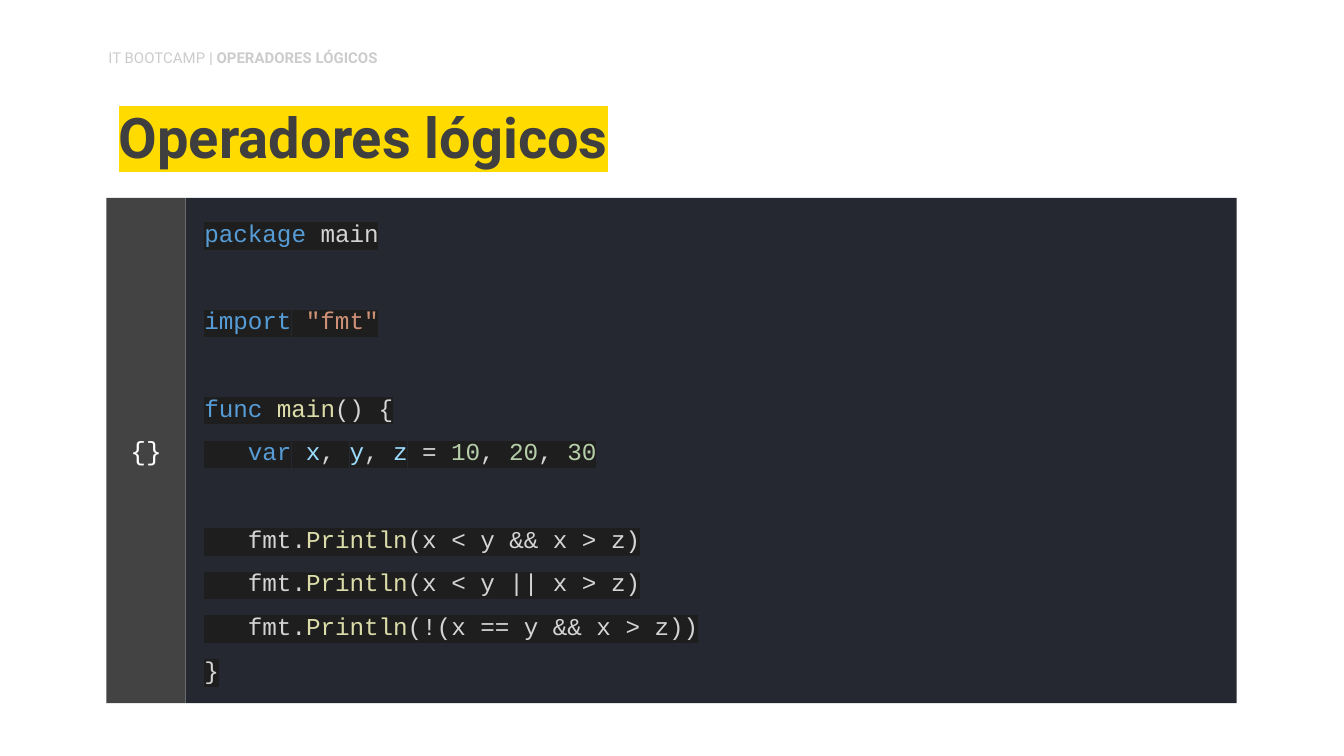
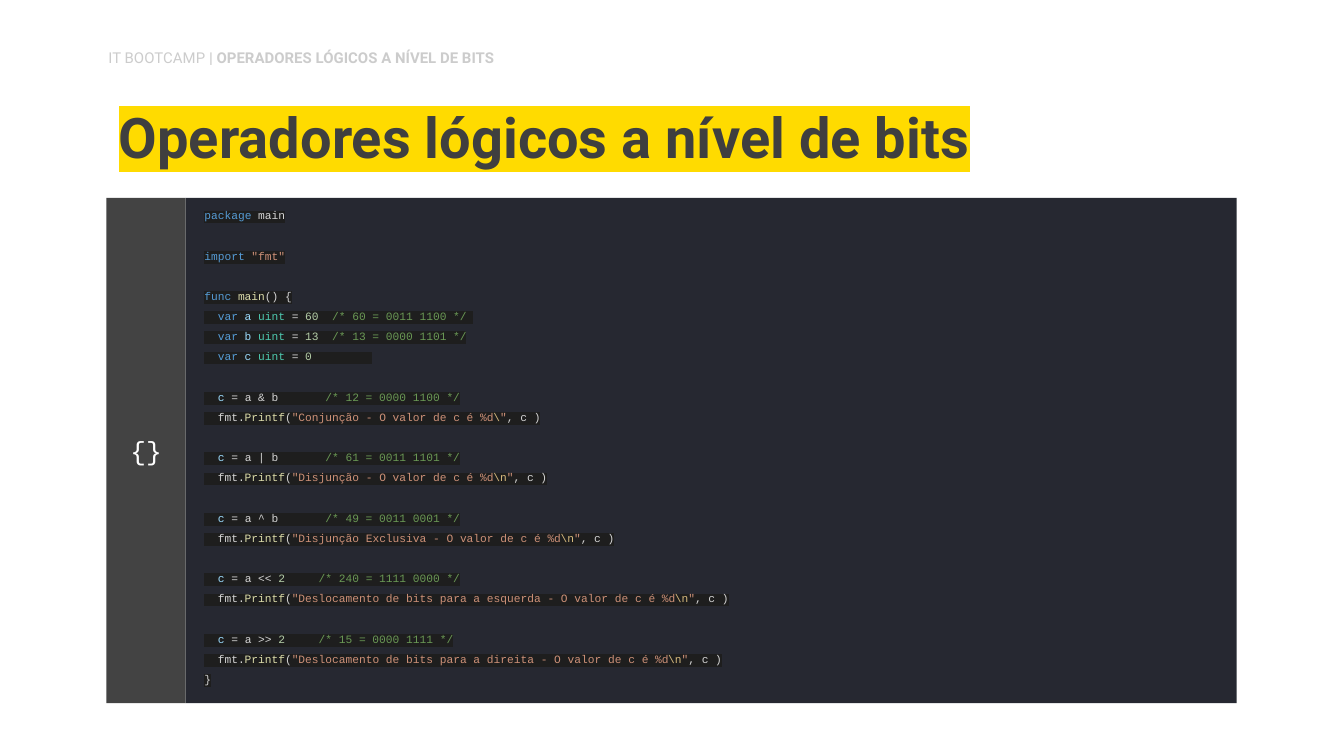
from lxml.etree import SubElement
from pptx import Presentation
from pptx.dml.color import RGBColor
from pptx.enum.shapes import MSO_SHAPE as SHAPE
from pptx.enum.text import MSO_ANCHOR as ANCHOR, MSO_AUTO_SIZE as AUTO, PP_ALIGN as ALIGN
from pptx.oxml.ns import qn
from pptx.util import Pt

PANEL = RGBColor(0x26, 0x28, 0x31)
BAR = RGBColor(0x43, 0x43, 0x43)
WHITE = RGBColor(0xFF, 0xFF, 0xFF)
HEADER = RGBColor(0xCC, 0xCC, 0xCC)
TITLE = RGBColor(0x3F, 0x3F, 0x3F)
TITLE_MARK = RGBColor(0xFF, 0xDB, 0x00)
CODE_MARK = RGBColor(0x1E, 0x1E, 0x1E)

# Syntax colours
KEYWORD = RGBColor(0x56, 0x9C, 0xD6)
PLAIN = RGBColor(0xD4, 0xD4, 0xD4)
STRING = RGBColor(0xCE, 0x91, 0x78)
FUNC = RGBColor(0xDC, 0xDC, 0xAA)
VAR = RGBColor(0x9C, 0xDC, 0xFE)
NUMBER = RGBColor(0xB5, 0xCE, 0xA8)
TYPE = RGBColor(0x4E, 0xC9, 0xB0)
COMMENT = RGBColor(0x6A, 0x99, 0x55)
ESCAPE = RGBColor(0xD7, 0xBA, 0x7D)

CODE_FONT, TEXT_FONT = "Courier New", "Roboto"


def add_run(p, text, color, mark=None, **fmt):
    """Append a run; mark is the highlight colour behind it."""
    r = p.add_run()
    r.text = text
    for name, value in fmt.items():
        setattr(r.font, name, value)
    r.font.color.rgb = color
    if mark is not None:
        rPr = r.font._element
        highlight = SubElement(rPr, qn("a:highlight"))
        SubElement(highlight, qn("a:srgbClr"), val=str(mark))
        rPr.find(qn("a:solidFill")).addnext(highlight)


def set_frame(tf, anchor, left, top, right, bottom):
    fmt = {"word_wrap": True, "auto_size": AUTO.NONE, "vertical_anchor": anchor,
           "margin_left": Pt(left), "margin_top": Pt(top),
           "margin_right": Pt(right), "margin_bottom": Pt(bottom)}
    for name, value in fmt.items():
        setattr(tf, name, value)


# Each code line is a list of (text, colour) tokens
opening = [
    [("package", KEYWORD), (" main", PLAIN)],
    [],
    [("import", KEYWORD), (" ", PLAIN), ('"fmt"', STRING)],
    [],
    [("func", KEYWORD), (" ", PLAIN), ("main", FUNC), ("() {", PLAIN)],
]
closing = [[("}", PLAIN)]]

logic_code = opening + [
    [("   ", PLAIN), ("var", KEYWORD), (" ", PLAIN), ("x", VAR), (", ", PLAIN),
     ("y", VAR), (", ", PLAIN), ("z", VAR), (" = ", PLAIN), ("10", NUMBER),
     (", ", PLAIN), ("20", NUMBER), (", ", PLAIN), ("30", NUMBER)],
    [],
]
for test in ("x < y && x > z", "x < y || x > z", "!(x == y && x > z)"):
    logic_code.append([("   fmt.", PLAIN), ("Println", FUNC), (f"({test})", PLAIN)])
logic_code += closing

bits_code = list(opening)
for name, value, gap, comment, tail in (
        ("a", "60", "  ", "/* 60 = 0011 1100 */", " "),
        ("b", "13", "  ", "/* 13 = 0000 1101 */", ""),
        ("c", "0", "         ", "", "")):
    bits_code.append([
        ("  ", PLAIN), ("var", KEYWORD), (" ", PLAIN), (name, VAR), (" ", PLAIN),
        ("uint", TYPE), (" = ", PLAIN), (value, NUMBER), (gap, PLAIN),
        (comment, COMMENT), (tail, PLAIN)])
for operation, number, gap, result, label, escape in (
        ("a & b", "", 7, "12 = 0000 1100", "Conjunção", "\\"),
        ("a | b", "", 7, "61 = 0011 1101", "Disjunção", "\\n"),
        ("a ^ b", "", 7, "49 = 0011 0001", "Disjunção Exclusiva", "\\n"),
        ("a << ", "2", 5, "240 = 1111 0000", "Deslocamento de bits para a esquerda", "\\n"),
        ("a >> ", "2", 5, "15 = 0000 1111", "Deslocamento de bits para a direita", "\\n")):
    bits_code += [
        [],
        [("  ", PLAIN), ("c", VAR), (f" = {operation}", PLAIN), (number, NUMBER),
         (" " * gap, PLAIN), (f"/* {result} */", COMMENT)],
        [("  fmt.", PLAIN), ("Printf", FUNC), ("(", PLAIN),
         (f'"{label} - O valor de c é %d', STRING), (escape, ESCAPE),
         ('"', STRING), (", c )", PLAIN)],
    ]
bits_code += closing

prs = Presentation()
prs.slide_width, prs.slide_height = Pt(720), Pt(405)

for title, code, size in (("Operadores lógicos", logic_code, 13),
                          ("Operadores lógicos a nível de bits", bits_code, 6)):
    s = prs.slides.add_slide(prs.slide_layouts[5])

    # Code panel with its side bar
    group = s.shapes.add_group_shape()
    frames = []
    for left, width, fill in ((99.5, 563, PANEL), (57, 42.5, BAR)):
        sp = group.shapes.add_shape(SHAPE.RECTANGLE, Pt(left), Pt(106), Pt(width), Pt(270.75))
        sp.shadow.inherit = False
        sp.fill.solid()
        sp.fill.fore_color.rgb = fill
        sp.line.fill.background()
        frames.append(sp.text_frame)
    code_tf, bar_tf = frames

    set_frame(code_tf, ANCHOR.MIDDLE, 10, 0, 7.2, 7.2)
    for i, tokens in enumerate(code):
        p = code_tf.add_paragraph() if i else code_tf.paragraphs[0]
        p.alignment = ALIGN.LEFT
        p.line_spacing = 1.5
        for text, color in tokens:
            if text:
                add_run(p, text, color, CODE_MARK, size=Pt(size), name=CODE_FONT)
        if not tokens:
            end = p._p.get_or_add_endParaRPr()
            end.set("sz", str(size * 100))
            SubElement(end, qn("a:latin"), typeface=CODE_FONT)

    set_frame(bar_tf, ANCHOR.MIDDLE, 7.2, 7.2, 7.2, 7.2)
    p = bar_tf.paragraphs[0]
    p.alignment = ALIGN.CENTER
    add_run(p, "{}", WHITE, size=Pt(14), name=CODE_FONT)

    # Title
    sp = s.shapes.title
    sp.left, sp.top, sp.width, sp.height = Pt(56.5), Pt(49), Pt(607), Pt(49.5)
    set_frame(sp.text_frame, ANCHOR.BOTTOM, 7.2, 7.2, 7.2, 7.2)
    p = sp.text_frame.paragraphs[0]
    p.alignment = ALIGN.LEFT
    p.line_spacing = 0.9
    add_run(p, title, TITLE, TITLE_MARK, size=Pt(30), name=TEXT_FONT, bold=True)

    # Running header
    tf = s.shapes.add_textbox(Pt(51), Pt(22.25), Pt(226), Pt(19.5)).text_frame
    set_frame(tf, ANCHOR.TOP, 7.2, 3.6, 7.2, 3.6)
    p = tf.paragraphs[0]
    p.space_after = Pt(12)
    for text, bold in (("IT BOOTCAMP", False), (f" | {title.upper()}", True)):
        add_run(p, text, HEADER, size=Pt(8), name=TEXT_FONT, bold=bold)

prs.save("out.pptx")
